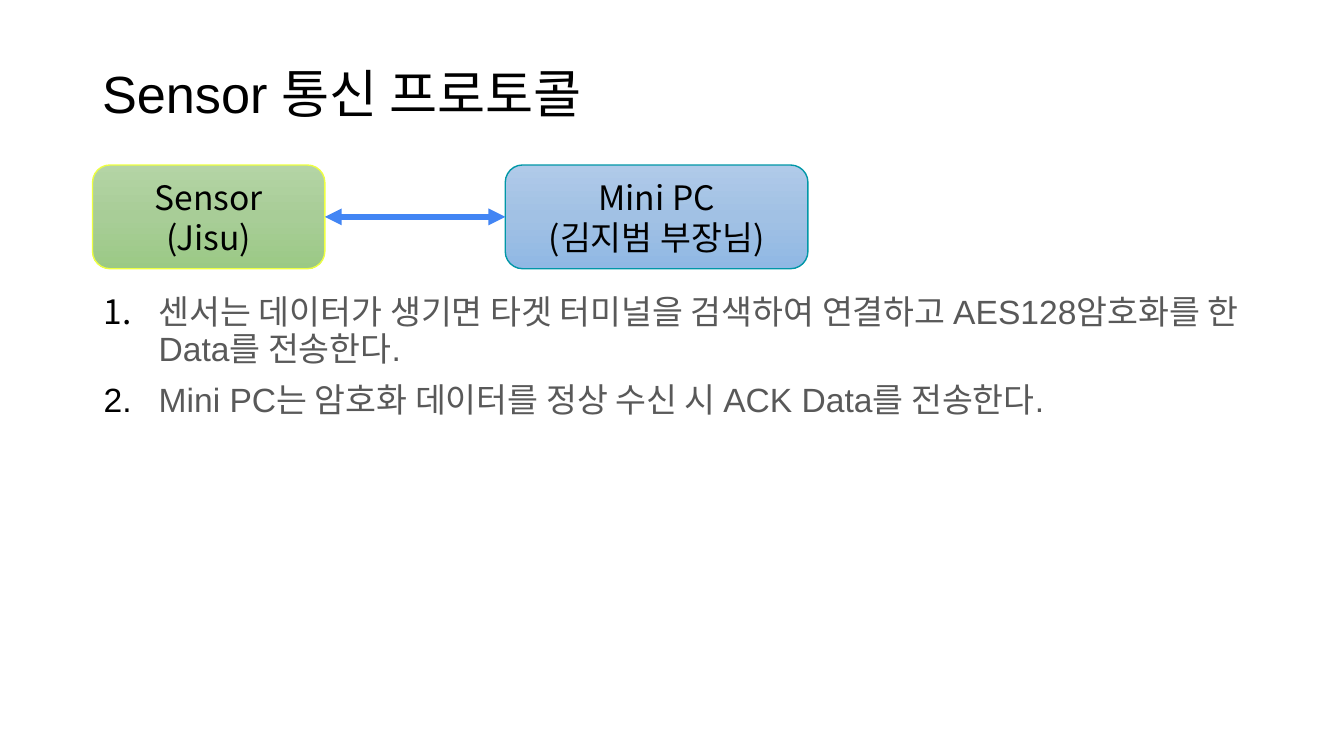
"""Build the sensor communication protocol slide."""
from dataclasses import dataclass

from lxml import etree
from copy import deepcopy
from pptx import Presentation
from pptx.dml.color import RGBColor
from pptx.enum.shapes import MSO_CONNECTOR, MSO_SHAPE
from pptx.enum.text import MSO_ANCHOR, PP_ALIGN
from pptx.oxml.ns import qn
from pptx.util import Cm, Pt

STRAIGHT = MSO_CONNECTOR.STRAIGHT
ROUNDED = MSO_SHAPE.ROUNDED_RECTANGLE
MIDDLE, TOP = MSO_ANCHOR.MIDDLE, MSO_ANCHOR.TOP
CENTER, LEFT = PP_ALIGN.CENTER, PP_ALIGN.LEFT
LATIN_FONT, KOREAN_FONT = "Arial", "Noto Sans CJK KR"
COLORS = {
    "text": "000000", "body": "595959", "arrow": "4285F4",
    "sensor_line": "EEFF41", "pc_line": "0097A7",
}
MARGIN, CONTENT_WIDTH = 1.75, 21.9
NODE_TOP, NODE_HEIGHT = 3.12, 1.96


@dataclass
class Node:
    left: float
    width: float
    label: str
    gradient: tuple[str, str, str]
    line: str


NODES = [
    Node(MARGIN, 4.39, "Sensor\n(Jisu)",
         ("B4D4A5", "A8CD97", "9BC985"), "sensor_line"),
    Node(9.55, 5.72, "Mini PC\n(김지범 부장님)",
         ("B0CAE9", "A1C1E4", "90B8E4"), "pc_line"),
]
STEPS = [
    "센서는 데이터가 생기면 타겟 터미널을 검색하여 연결하고 AES128암호화를 한 Data를 전송한다.",
    "Mini PC는 암호화 데이터를 정상 수신 시 ACK Data를 전송한다.",
]


def write_text(box, text: str, size: int, font: str, color: str,
               anchor=MIDDLE, align=LEFT, spacing: float = 0.9) -> None:
    frame = box.text_frame
    frame.word_wrap = True
    frame.vertical_anchor = anchor
    frame.margin_left = frame.margin_right = Cm(0.18)
    frame.margin_top = frame.margin_bottom = Cm(0.1)
    frame.text = text
    for para in frame.paragraphs:
        para.alignment = align
        para.line_spacing = spacing
        for span in para.runs:
            span.font.size = Pt(size)
            span.font.color.rgb = RGBColor.from_string(COLORS[color])
            span.font.name = font
            latin = span.font._element.find(qn("a:latin"))
            east_asian = etree.Element(qn("a:ea"), typeface=KOREAN_FONT)
            latin.addnext(east_asian)


def add_text(page, top: float, height: float):
    return page.shapes.add_textbox(
        Cm(MARGIN), Cm(top), Cm(CONTENT_WIDTH), Cm(height))


def number_paragraph(para) -> None:
    properties = para._p.get_or_add_pPr()
    properties.set("marL", str(Cm(1.07)))
    properties.set("indent", str(Cm(-1.04)))
    color = etree.SubElement(properties, qn("a:buClr"))
    etree.SubElement(color, qn("a:srgbClr"), val=COLORS["text"])
    etree.SubElement(properties, qn("a:buFont"), typeface=LATIN_FONT)
    etree.SubElement(properties, qn("a:buAutoNum"), type="arabicPeriod")


def add_node(page, node: Node) -> None:
    box = page.shapes.add_shape(
        ROUNDED, Cm(node.left), Cm(NODE_TOP), Cm(node.width), Cm(NODE_HEIGHT))
    box.shadow.inherit = False
    box.fill.gradient()
    box.fill.gradient_angle = 270
    stop_list = box._element.spPr.find(qn("a:gradFill")).find(qn("a:gsLst"))
    stop_list.append(deepcopy(stop_list[-1]))
    for index, (stop, color) in enumerate(
            zip(box.fill.gradient_stops, node.gradient)):
        stop.position = index / 2
        stop.color.rgb = RGBColor.from_string(color)
    box.line.color.rgb = RGBColor.from_string(COLORS[node.line])
    box.line.width = Pt(0.75)
    write_text(box, node.label, 18, KOREAN_FONT, "text",
               align=CENTER, spacing=1.0)


def add_arrow(page, start: Node, end: Node) -> None:
    middle = Cm(NODE_TOP + NODE_HEIGHT / 2)
    arrow = page.shapes.add_connector(
        STRAIGHT, Cm(start.left + start.width), middle, Cm(end.left), middle)
    arrow.line.color.rgb = RGBColor.from_string(COLORS["arrow"])
    arrow.line.width = Pt(3)
    for tag in ("a:headEnd", "a:tailEnd"):
        etree.SubElement(arrow.line._get_or_add_ln(), qn(tag), type="triangle")
    etree.SubElement(arrow._element.spPr, qn("a:effectLst"))


def main() -> None:
    deck = Presentation()
    deck.slide_width, deck.slide_height = Cm(25.4), Cm(14.29)
    page = deck.slides.add_slide(deck.slide_layouts[6])

    title = add_text(page, 0.53, 2.59)
    write_text(title, "Sensor 통신 프로토콜", 28, LATIN_FONT, "text")

    body = add_text(page, 5.49, 8.12)
    write_text(body, "\n".join(STEPS), 18, LATIN_FONT, "body", anchor=TOP)
    for index, para in enumerate(body.text_frame.paragraphs):
        para.space_before = Pt(8 if index else 0)
        number_paragraph(para)

    for node in NODES:
        add_node(page, node)
    add_arrow(page, *NODES)
    deck.save("out.pptx")


main()
